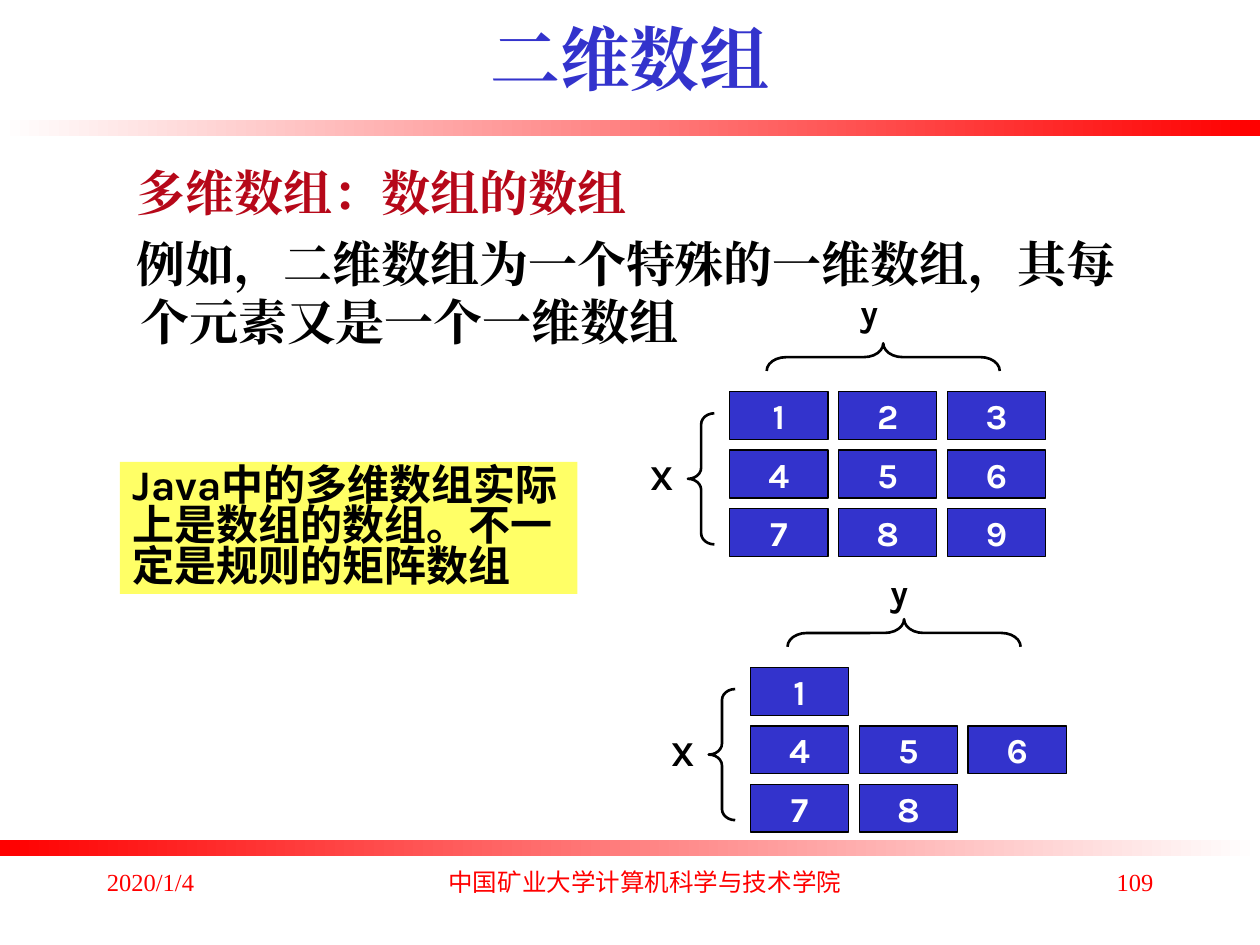
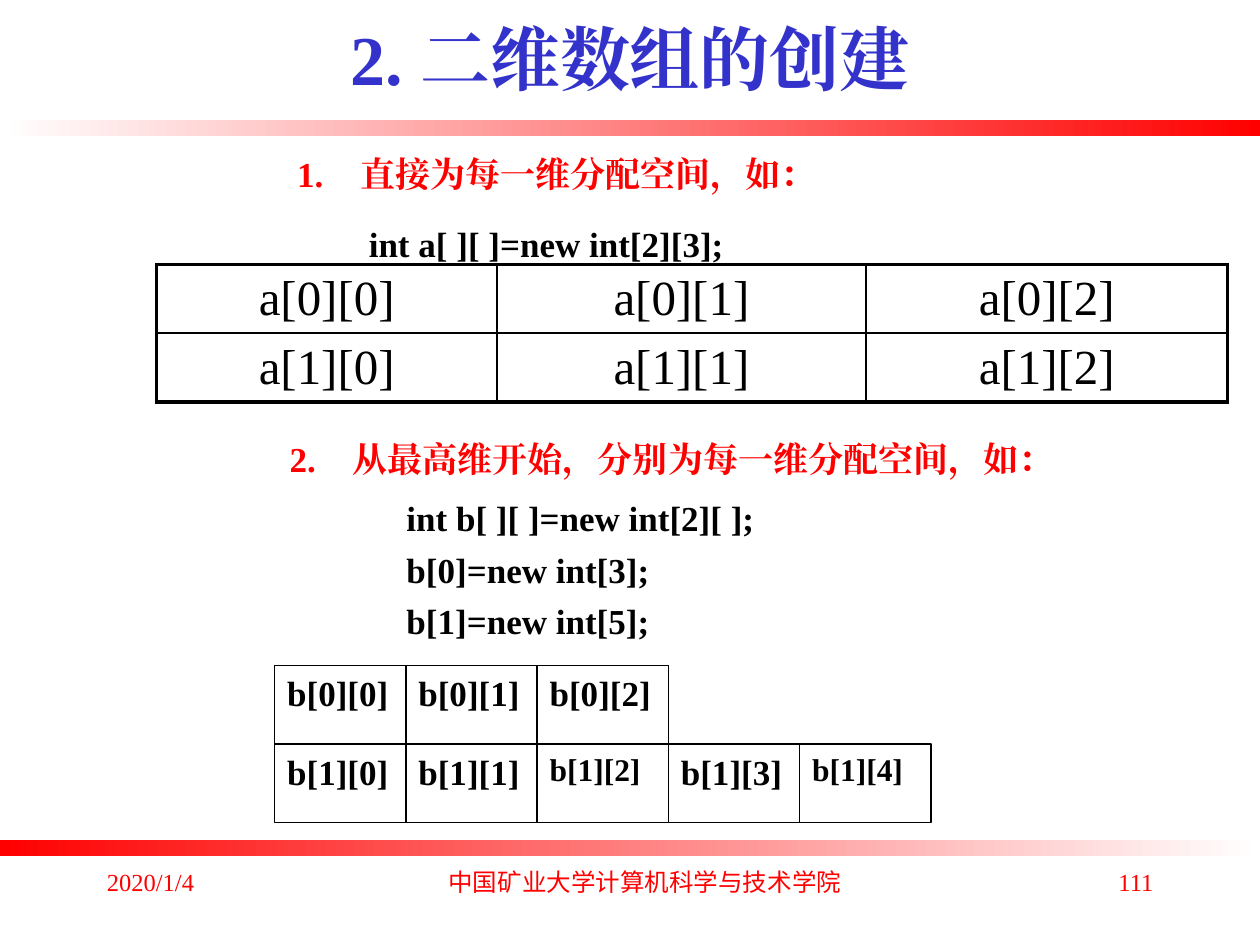
from dataclasses import dataclass

from lxml.etree import SubElement
from pptx import Presentation
from pptx.dml.color import RGBColor
from pptx.enum.shapes import MSO_SHAPE as Preset
from pptx.enum.text import MSO_ANCHOR as Anchor, PP_ALIGN as Align
from pptx.oxml import parse_xml
from pptx.oxml.ns import nsdecls, qn
from pptx.util import Pt

SERIF, SANS, CJK = "Times New Roman", "Karla", "Noto Sans CJK SC"
BLACK, WHITE, RED, BLUE = "000000", "FFFFFF", "FF0000", "3333CC"
CRIMSON, YELLOW = "B60819", "FFFF66"


@dataclass(frozen=True)
class Box:
    left: float
    top: float
    width: float
    height: float

    def moved(self, right: float, down: float) -> "Box":
        return Box(self.left + right, self.top + down, self.width, self.height)

    def lengths(self) -> tuple:
        return Pt(self.left), Pt(self.top), Pt(self.width), Pt(self.height)


@dataclass(frozen=True)
class Band:
    box: Box
    start: str
    end: str


@dataclass(frozen=True)
class Footer:
    box: Box
    text: str
    font: str
    align: Align


@dataclass(frozen=True)
class ArrayFigure:
    rows: tuple
    right: float
    down: float
    y_label: Box


BANDS = (
    Band(Box(0, 68.3, 720, 9.2), WHITE, RED),
    Band(Box(0, 479.8, 720, 9.2), RED, WHITE),
)
FOOTERS = (
    Footer(Box(54, 491.8, 150, 36), "2020/1/4", SERIF, Align.LEFT),
    Footer(Box(246.2, 491.8, 244.8, 36), "中国矿业大学计算机科学与技术学院", CJK, Align.CENTER),
)
PAGE_NUMBER = Box(516.2, 491.8, 150, 36)
TITLE = Box(54, -12.2, 612, 90)

FIGURES = (
    ArrayFigure(("123", "456", "789"), 0, 0, Box(484.6, 162.7, 25.9, 31)),
    ArrayFigure(("1", "456", "78"), 11.9, 157.6, Box(501.8, 322.6, 25.9, 31)),
)
ARRAY_CELL = Box(416.9, 223.9, 56.2, 27.4)
ARRAY_STEP = (62.2, 33.3)
X_BRACE = Box(393.1, 236.2, 15.1, 74.9)
Y_BRACE = Box(496.8, 137.5, 15.8, 133.2)
X_LABEL = Box(364.3, 257, 28.1, 31)


def color(value: str) -> RGBColor:
    return RGBColor.from_string(value)


def write(frame, text: str, *, size: float = 20, font: str = SERIF, ink: str = BLACK,
          bold: bool = True, align: Align = Align.LEFT, before: float = 0,
          spacing: float = 1, margin: float = 0, indent: float = 0, number: int = 0) -> None:
    paragraph = frame.paragraphs[0]
    if paragraph.runs:
        paragraph = frame.add_paragraph()
    paragraph.alignment = align
    paragraph.space_before = Pt(before)
    paragraph.line_spacing = spacing
    properties = paragraph._p.get_or_add_pPr()
    properties.set("marL", str(Pt(margin)))
    properties.set("indent", str(Pt(indent)))
    if number:
        SubElement(properties, qn("a:buFont"), typeface=CJK)
        SubElement(properties, qn("a:buAutoNum"), type="arabicPeriod", startAt=str(number))
    else:
        SubElement(properties, qn("a:buNone"))
    run = paragraph.add_run()
    run.text = text
    run.font.size = Pt(size)
    run.font.name = font
    run.font.bold = bold
    run.font.color.rgb = color(ink)
    run_properties = run._r.get_or_add_rPr()
    run_properties.set("lang", "zh-CN")
    SubElement(run_properties, qn("a:ea"), typeface=font)


def add_frame(shapes, box: Box, wrap: bool = True, anchor: Anchor = Anchor.TOP):
    frame = shapes.add_textbox(*box.lengths()).text_frame
    frame.word_wrap = wrap
    frame.vertical_anchor = anchor
    return frame


def add_shape(shapes, preset: Preset, box: Box, *, fill: str = "", line: float = 0):
    shape = shapes.add_shape(preset, *box.lengths())
    shape.shadow.inherit = False
    if fill:
        shape.fill.solid()
        shape.fill.fore_color.rgb = color(fill)
    else:
        shape.fill.background()
    if line:
        shape.line.color.rgb = color(BLACK)
        shape.line.width = Pt(line)
    else:
        shape.line.fill.background()
    shape.text_frame.vertical_anchor = Anchor.TOP
    return shape


def add_base_slide(presentation, title: str, page: str):
    slide = presentation.slides.add_slide(presentation.slide_layouts[6])
    for band in BANDS:
        fill = add_shape(slide.shapes, Preset.RECTANGLE, band.box).fill
        fill.gradient()
        fill.gradient_angle = 0
        for stop, value in zip(fill.gradient_stops, (band.start, band.end)):
            stop.color.rgb = color(value)
    frame = add_frame(slide.shapes, TITLE, anchor=Anchor.MIDDLE)
    write(frame, title, size=40, ink=BLUE, align=Align.CENTER)
    for footer in (*FOOTERS, Footer(PAGE_NUMBER, page, SERIF, Align.RIGHT)):
        write(add_frame(slide.shapes, footer.box), footer.text, size=14, font=footer.font,
              ink=RED, bold=False, align=footer.align, before=7)
    return slide


def add_brace(shapes, box: Box, depth: float, rotation: float = 0) -> None:
    brace = add_shape(shapes, Preset.LEFT_BRACE, box, line=1.5)
    brace.adjustments[0] = depth
    brace.adjustments[1] = 0.5
    brace.rotation = rotation


def add_array_figure(shapes, figure: ArrayFigure) -> None:
    for row, digits in enumerate(figure.rows):
        for column, digit in enumerate(digits):
            box = ARRAY_CELL.moved(figure.right + column * ARRAY_STEP[0],
                                   figure.down + row * ARRAY_STEP[1])
            frame = add_shape(shapes, Preset.RECTANGLE, box, fill=BLUE, line=0.75).text_frame
            frame.word_wrap = False
            frame.vertical_anchor = Anchor.MIDDLE
            write(frame, digit, font=SANS, ink=WHITE, align=Align.CENTER)
    add_brace(shapes, X_BRACE.moved(figure.right, figure.down), 0.416)
    add_brace(shapes, Y_BRACE.moved(figure.right, figure.down), 0.699, 90)
    x_label = X_LABEL.moved(figure.right, figure.down)
    for text, box in (("X", x_label), ("y", figure.y_label)):
        write(add_frame(shapes, box, wrap=False), text, font=SANS)


def set_border(cell, edge: str, width: float) -> None:
    properties = cell._tc.get_or_add_tcPr()
    border = parse_xml(
        f'<a:ln{edge} {nsdecls("a")} w="{Pt(width)}"><a:solidFill>'
        f'<a:srgbClr val="{BLACK}"/></a:solidFill></a:ln{edge}>')
    properties.append(border)


def add_index_table(shapes, box: Box, widths: tuple, row_count: int) -> None:
    table = shapes.add_table(row_count, len(widths), *box.lengths()).table
    table.first_row = table.horz_banding = False
    for column, width in zip(table.columns, widths):
        column.width = Pt(width)
    for row in range(row_count):
        table.rows[row].height = Pt(box.height / row_count)
        for column in range(len(widths)):
            cell = table.cell(row, column)
            cell.margin_left = cell.margin_right = Pt(15)
            cell.margin_top = cell.margin_bottom = Pt(2.8)
            cell.vertical_anchor = Anchor.MIDDLE
            outer = {"L": column == 0, "R": column == len(widths) - 1,
                     "T": row == 0, "B": row == row_count - 1}
            for edge, is_outer in outer.items():
                set_border(cell, edge, 2.25 if is_outer else 1)
            cell.fill.background()
            write(cell.text_frame, f"a[{row}][{column}]", size=28, bold=False,
                  align=Align.CENTER)


def add_ragged_cells(shapes, first: Box, counts: tuple, small: set) -> None:
    group = shapes.add_group_shape()
    for row, count in enumerate(counts):
        for column in range(count):
            box = first.moved(column * first.width, row * first.height)
            shape = add_shape(group.shapes, Preset.RECTANGLE, box, fill=WHITE, line=0.75)
            size = 18 if (row, column) in small else 20
            write(shape.text_frame, f"b[{row}][{column}]", size=size, align=Align.JUSTIFY)


def build_concept_slide(presentation) -> None:
    shapes = add_base_slide(presentation, "二维数组", "109").shapes
    body = add_frame(shapes, Box(46.1, 89.3, 612, 120))
    for text, ink in (("多维数组：数组的数组", CRIMSON),
                      ("例如，二维数组为一个特殊的一维数组，其每个元素又是一个一维数组", BLACK)):
        write(body, text, size=28, ink=ink, before=6.7, margin=27, indent=-2)
    for figure in FIGURES:
        add_array_figure(shapes, figure)
    note = add_shape(shapes, Preset.RECTANGLE, Box(68.6, 264, 261.4, 75.4), fill=YELLOW)
    write(note.text_frame, "Java中的多维数组实际上是数组的数组。不一定是规则的矩阵数组",
          size=24, font=SANS, spacing=0.8)


def build_creation_slide(presentation) -> None:
    shapes = add_base_slide(presentation, "2. 二维数组的创建", "111").shapes
    direct = add_frame(shapes, Box(126.7, 83.5, 593.3, 66))
    write(direct, "直接为每一维分配空间，如：", ink=RED, margin=72, indent=-36, number=1)
    write(direct, "int a[ ][ ]=new int[2][3];", before=16, margin=77)
    add_index_table(shapes, Box(89.5, 151.2, 612, 76.4), (194.4, 211, 206.6), 2)
    stepwise = add_frame(shapes, Box(126.7, 246.2, 593.3, 122))
    write(stepwise, "从最高维开始，分别为每一维分配空间，如：", ink=RED, margin=67.7,
          indent=-36, number=2)
    for text, before in (("int b[ ][ ]=new int[2][ ];", 10),
                         ("b[0]=new int[3];", 5.5), ("b[1]=new int[5];", 5.5)):
        write(stepwise, text, before=before, margin=98.5)
    add_ragged_cells(shapes, Box(157, 380.3, 75, 44.8), (3, 5), {(1, 2), (1, 4)})


def main() -> None:
    presentation = Presentation()
    presentation.slide_width = Pt(720)
    presentation.slide_height = Pt(540)
    build_concept_slide(presentation)
    build_creation_slide(presentation)
    presentation.save("out.pptx")


if __name__ == "__main__":
    main()
